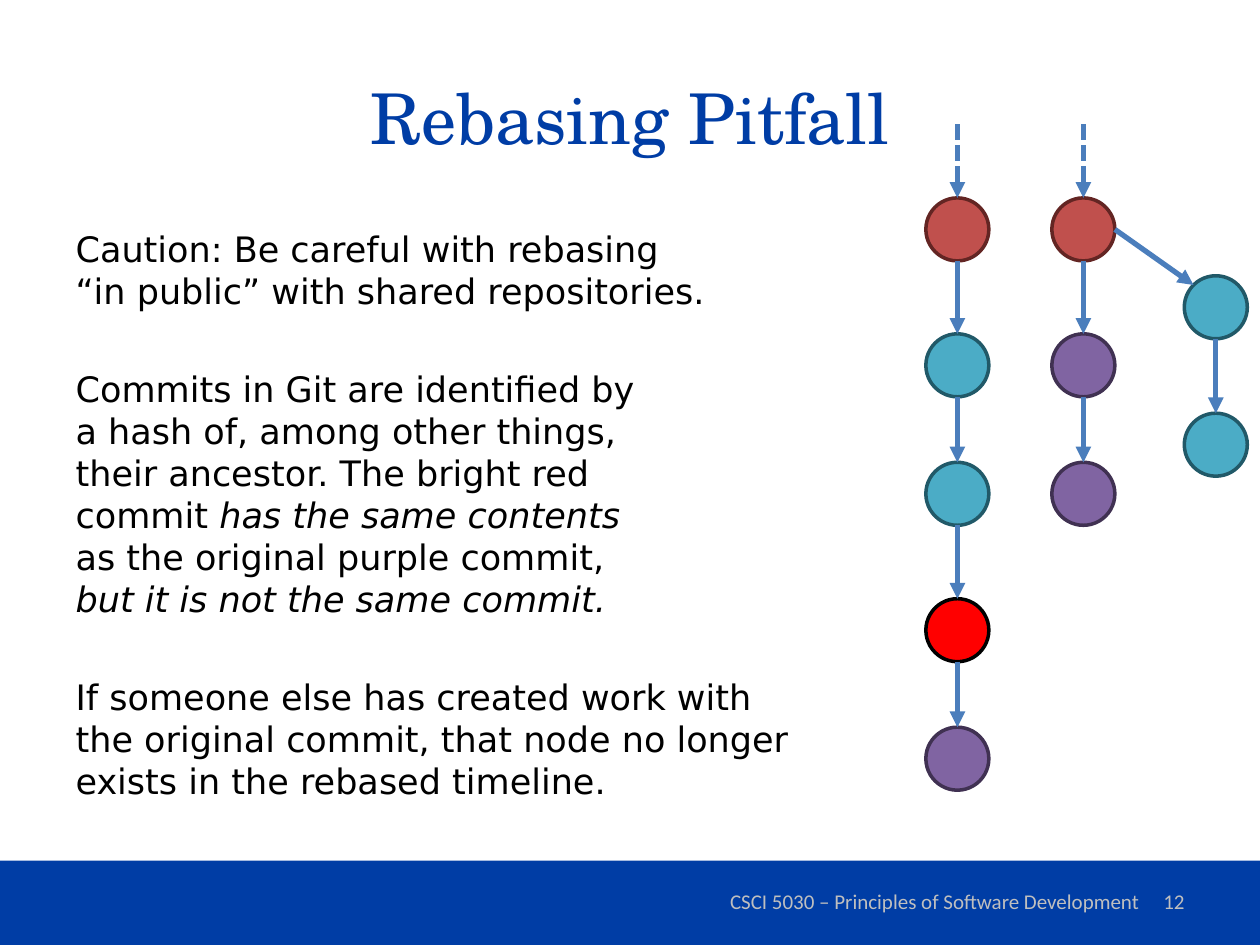
import math

from lxml import etree
from pptx import Presentation
from pptx.dml.color import RGBColor
from pptx.enum.dml import MSO_LINE
from pptx.enum.shapes import MSO_CONNECTOR, MSO_SHAPE
from pptx.enum.text import MSO_ANCHOR, MSO_AUTO_SIZE, PP_ALIGN
from pptx.oxml.ns import qn
from pptx.util import Cm, Pt

STRAIGHT = MSO_CONNECTOR.STRAIGHT
ELLIPSE, RECTANGLE = MSO_SHAPE.OVAL, MSO_SHAPE.RECTANGLE
SQUARE_DASH = MSO_LINE.SQUARE_DOT
CENTER, RIGHT = PP_ALIGN.CENTER, PP_ALIGN.RIGHT
MIDDLE = MSO_ANCHOR.MIDDLE

COLORS = {
    "blue": "003DA5", "text": "000000", "footer": "BFBFBF", "arrow": "4B7EBC",
    "base": "C0504D", "base_line": "632523",
    "teal": "4BACC6", "teal_line": "215968",
    "purple": "8064A2", "purple_line": "403152",
    "rebased": "FF0000", "rebased_line": "000000",
}

DIAMETER = 1.27
LEFT_X, MIDDLE_X, RIGHT_X = 19.3, 21.84, 24.51  # column centres
ROWS = [3.99, 6.73, 9.32, 12.07, 14.66]  # tops of the commits
SIDE_ROWS = [5.56, 8.33]
HISTORY_TOP = 2.5

# Each paragraph is a list of (text, italic) pieces.
BODY = [
    [("Caution: Be careful with rebasing\n"
      "“in public” with shared repositories.", False)],
    [("Commits in Git are identified by\n"
      "a hash of, among other things,\n"
      "their ancestor. The bright red\n"
      "commit ", False),
     ("has the same contents\n", True),
     ("as the original purple commit,\n", False),
     ("but it is not the same commit.", True)],
    [("If someone else has created work with\n"
      "the original commit, that node no longer\n"
      "exists in the rebased timeline.", False)],
]


def rgb(name):
    return RGBColor.from_string(COLORS[name])


def set_font(font, name, size, color):
    font.name = name
    font.size = Pt(size)
    font.color.rgb = rgb(color)


def place(shape, left, top, width, height):
    shape.left, shape.top = Cm(left), Cm(top)
    shape.width, shape.height = Cm(width), Cm(height)


def fill_title(title):
    place(title, 1.27, 0.76, 22.86, 3.18)
    title.text_frame.vertical_anchor = MIDDLE
    title.text_frame.auto_size = MSO_AUTO_SIZE.NONE
    paragraph = title.text_frame.paragraphs[0]
    paragraph.text = "Rebasing Pitfall"
    paragraph.alignment = CENTER
    set_font(paragraph.font, "TeX Gyre Schola", 40, "blue")


def add_piece(paragraph, text, italic):
    """Add text as runs, with a line break for each newline."""
    for number, line in enumerate(text.split("\n")):
        if number:
            paragraph.add_line_break()
        if line:
            run = paragraph.add_run()
            run.text = line
            if italic:
                run.font.italic = True


def fill_body(body):
    place(body, 1.27, 4.45, 22.86, 12.9)
    frame = body.text_frame
    frame.auto_size = MSO_AUTO_SIZE.NONE
    for number, pieces in enumerate(BODY):
        paragraph = frame.add_paragraph() if number else frame.paragraphs[0]
        properties = paragraph._p.get_or_add_pPr()
        properties.set("marL", "0")
        properties.set("indent", "0")
        etree.SubElement(properties, qn("a:buNone"))
        paragraph.space_before = Pt(32 if number else 0)
        paragraph.line_spacing = Pt(24)
        set_font(paragraph.font, "DejaVu Sans", 20, "text")
        for text, italic in pieces:
            add_piece(paragraph, text, italic)


def add_footer_text(slide, text, left, width, alignment):
    box = slide.shapes.add_textbox(Cm(left), Cm(17.65), Cm(width), Cm(1.02))
    box.text_frame.word_wrap = True
    box.text_frame.vertical_anchor = MIDDLE
    paragraph = box.text_frame.paragraphs[0]
    paragraph.text = text
    paragraph.alignment = alignment
    set_font(paragraph.font, "Calibri", 12, "footer")


def add_footer(slide):
    bar = slide.shapes.add_shape(RECTANGLE, 0, Cm(17.35), Cm(25.4), Cm(1.7))
    bar.shadow.inherit = False
    bar.fill.solid()
    bar.fill.fore_color.rgb = rgb("blue")
    bar.line.fill.background()
    add_footer_text(slide, "CSCI 5030 – Principles of Software Development",
                    14.4, 8.89, CENTER)
    add_footer_text(slide, "12", 18.21, 5.92, RIGHT)


def add_commit(slide, center_x, top, kind):
    commit = slide.shapes.add_shape(ELLIPSE, Cm(center_x - DIAMETER / 2), Cm(top),
                                    Cm(DIAMETER), Cm(DIAMETER))
    commit.shadow.inherit = False
    commit.fill.solid()
    commit.fill.fore_color.rgb = rgb(kind)
    commit.line.color.rgb = rgb(kind + "_line")
    commit.line.width = Pt(2)


def add_arrow(slide, start, end, dashed=False):
    arrow = slide.shapes.add_connector(STRAIGHT, *map(Cm, start + end))
    arrow.line.color.rgb = rgb("arrow")
    arrow.line.width = Pt(3)
    if dashed:
        arrow.line.dash_style = SQUARE_DASH
    etree.SubElement(arrow.line._get_or_add_ln(), qn("a:tailEnd"), type="triangle")
    etree.SubElement(arrow._element.spPr, qn("a:effectLst"))


def add_branch(slide, center_x, tops, kinds):
    """Draw a column of commits, each with an arrow to the next."""
    for top, kind in zip(tops, kinds):
        add_commit(slide, center_x, top, kind)
    for top, next_top in zip(tops, tops[1:len(kinds)]):
        add_arrow(slide, (center_x, top + DIAMETER), (center_x, next_top))


def add_history(slide, center_x):
    add_arrow(slide, (center_x, HISTORY_TOP), (center_x, ROWS[0]), dashed=True)


def add_fork(slide):
    """Join the middle branch's base to the upper left of the side branch."""
    radius = DIAMETER / 2
    inset = radius * (1 - math.sqrt(0.5))
    add_arrow(slide, (MIDDLE_X + radius, ROWS[0] + radius),
              (RIGHT_X - radius + inset, SIDE_ROWS[0] + inset))


def main():
    presentation = Presentation()
    presentation.slide_width, presentation.slide_height = Cm(25.4), Cm(19.05)
    slide = presentation.slides.add_slide(presentation.slide_layouts[1])
    fill_title(slide.shapes.title)
    fill_body(slide.placeholders[1])
    add_footer(slide)
    add_branch(slide, LEFT_X, ROWS, ["base", "teal", "teal", "rebased", "purple"])
    add_branch(slide, MIDDLE_X, ROWS, ["base", "purple", "purple"])
    add_branch(slide, RIGHT_X, SIDE_ROWS, ["teal", "teal"])
    add_history(slide, LEFT_X)
    add_history(slide, MIDDLE_X)
    add_fork(slide)
    presentation.save("out.pptx")


if __name__ == "__main__":
    main()
